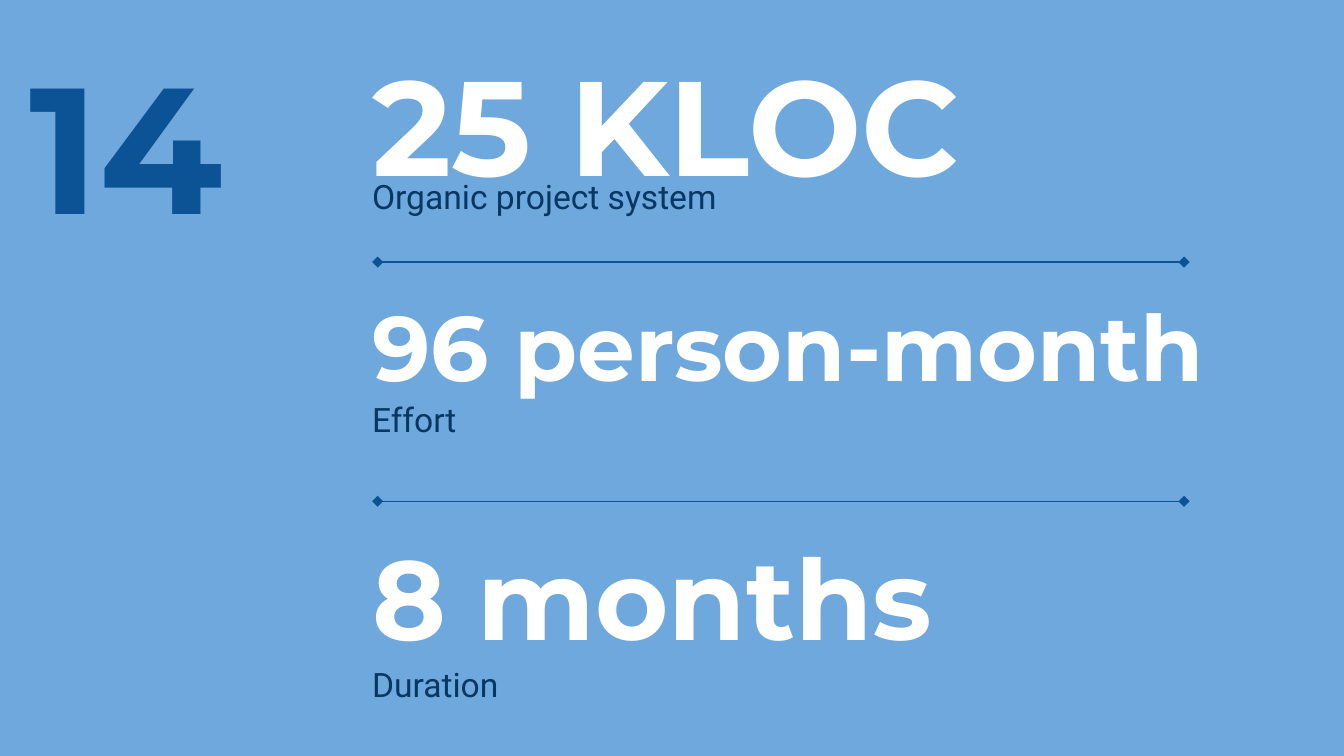
import pptx
import pptx.dml.color
import pptx.enum.shapes
import pptx.enum.text
import pptx.oxml
import pptx.util
from pptx.util import Inches

SKY, BLUE, NAVY, WHITE = "6FA8DC", "0B5394", "073763", "FFFFFF"
LEFT, WIDTH = 2.67, 6.47

# figure, size, figure top, caption, caption top
RESULTS = [
    ("25 KLOC", 72, 0.21, "Organic project system", 1.21),
    ("96 person-month", 49, 2.06, "Effort", 2.87),
    ("8 months", 60, 3.83, "Duration", 4.84),
]


def rgb(value):
    return pptx.dml.color.RGBColor.from_string(value)


def add_text(s, text, x, y, w, h, *, size, color, font="Montserrat", bold=False):
    tf = s.shapes.add_textbox(Inches(x), Inches(y), Inches(w), Inches(h)).text_frame
    tf.word_wrap = True
    tf.vertical_anchor = pptx.enum.text.MSO_ANCHOR.TOP
    tf.margin_left = tf.margin_right = tf.margin_top = tf.margin_bottom = Inches(0.1)
    r = tf.paragraphs[0].add_run()
    r.text = text
    r.font.name = font
    r.font.size = pptx.util.Pt(size)
    r.font.bold = bold
    r.font.color.rgb = rgb(color)


def add_divider(s, y):
    """Draw a horizontal rule with a diamond at each end."""
    line = s.shapes.add_connector(
        pptx.enum.shapes.MSO_CONNECTOR.STRAIGHT,
        Inches(2.81), Inches(y), Inches(8.81), Inches(y))
    line.line.color.rgb = rgb(BLUE)
    line.line.width = pptx.util.Pt(0.75)
    ln = line.line._get_or_add_ln()
    for tag in ("a:headEnd", "a:tailEnd"):
        end = pptx.oxml.xmlchemy.OxmlElement(tag)
        end.set("type", "diamond")
        ln.append(end)
    line._element.spPr.append(pptx.oxml.xmlchemy.OxmlElement("a:effectLst"))


def main():
    prs = pptx.Presentation()
    prs.slide_width = Inches(10)
    prs.slide_height = Inches(10 * 9 / 16)
    s = prs.slides.add_slide(prs.slide_layouts[6])
    s.background.fill.solid()
    s.background.fill.fore_color.rgb = rgb(SKY)

    for figure, size, top, caption, caption_top in RESULTS:
        add_text(s, figure, LEFT, top, WIDTH, 0.98, size=size, color=WHITE, bold=True)
        add_text(s, caption, LEFT, caption_top, WIDTH, 0.51,
                 size=18, color=NAVY, font="Roboto")
    add_text(s, "14", 0.12, 0.16, 1.98, 1.37, size=96, color=BLUE, bold=True)
    for y in (1.95, 3.73):
        add_divider(s, y)

    prs.save("out.pptx")


if __name__ == "__main__":
    main()
